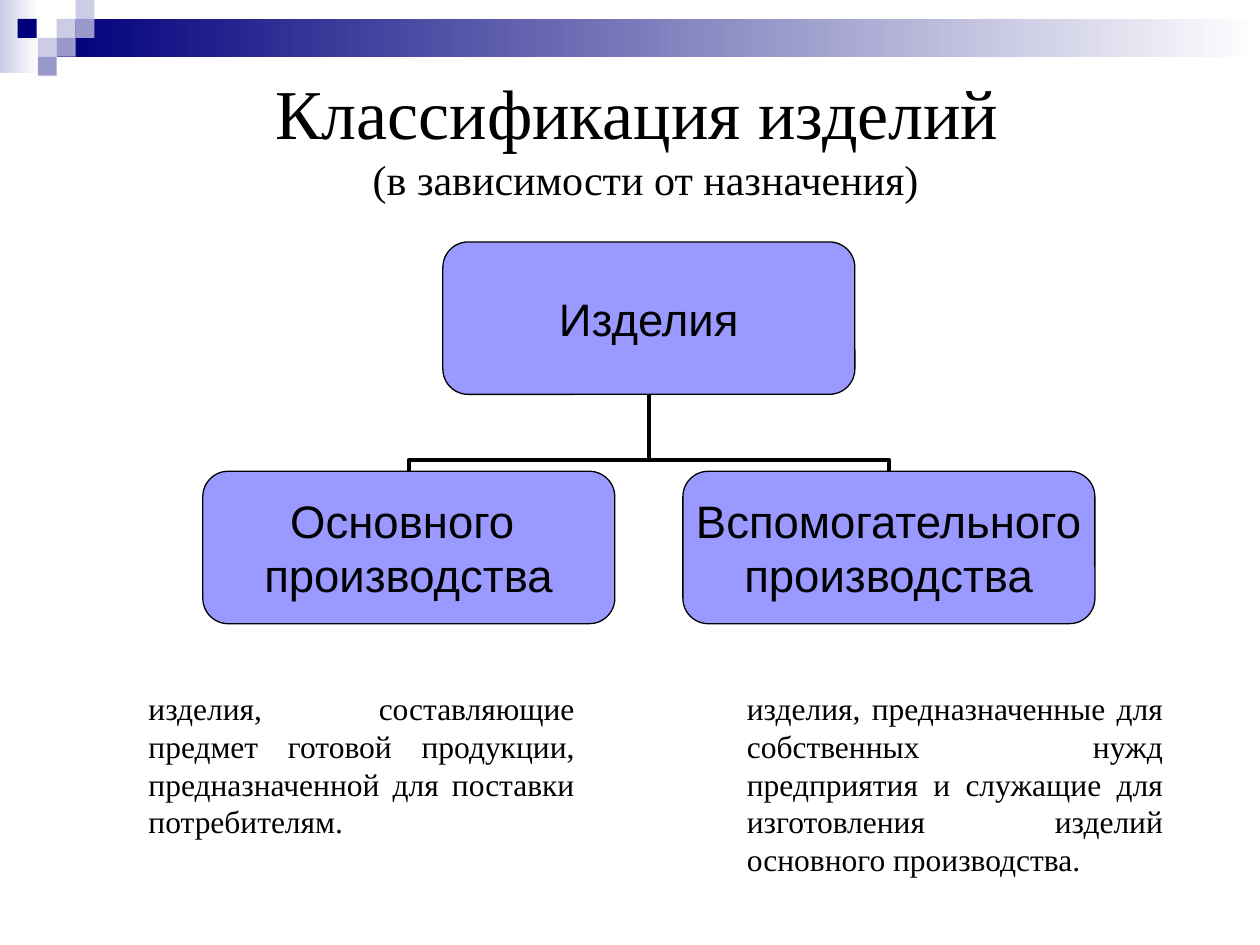
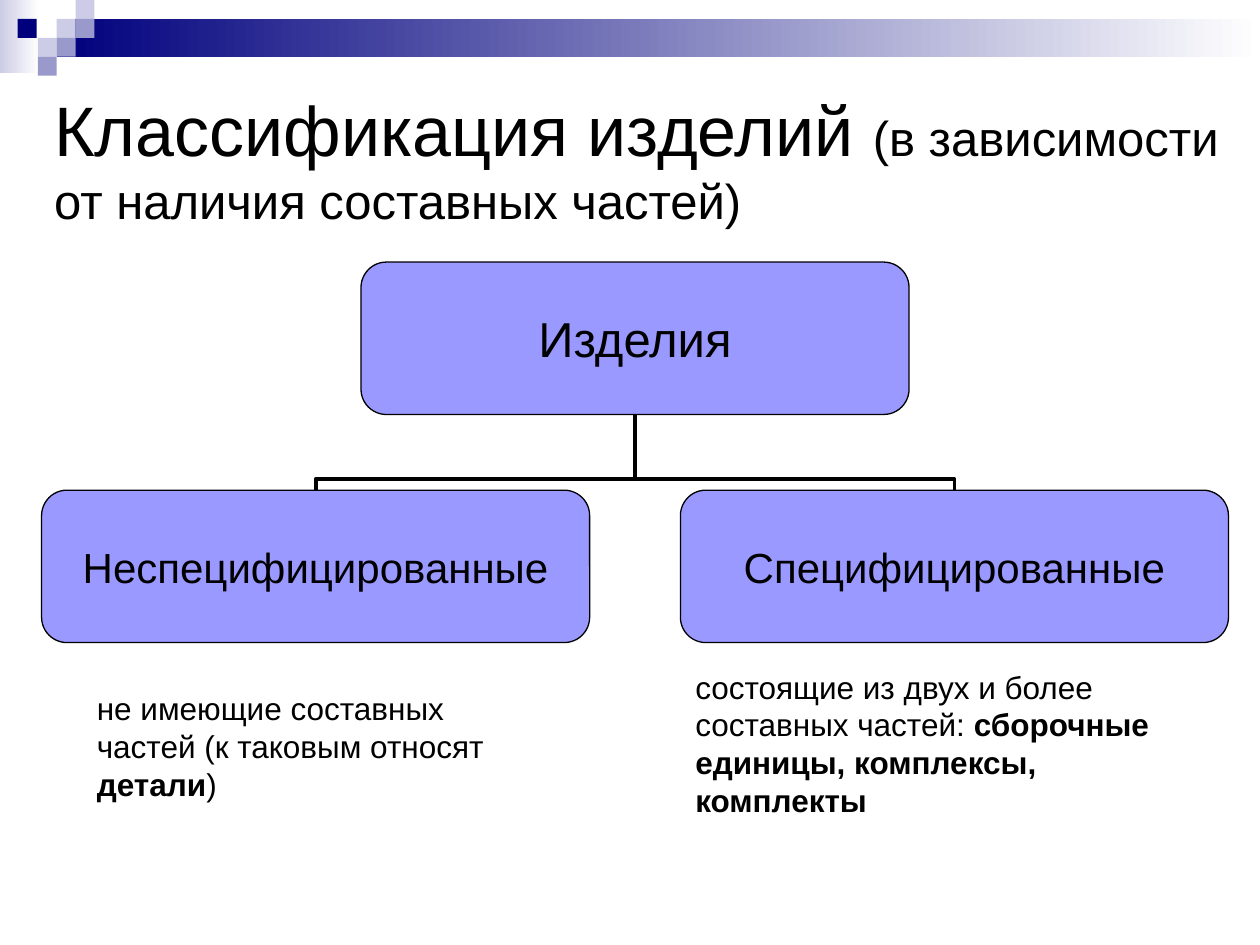
from pptx import Presentation
from pptx.dml.color import RGBColor
from pptx.enum.shapes import MSO_CONNECTOR, MSO_SHAPE
from pptx.enum.text import MSO_ANCHOR, MSO_AUTO_SIZE, PP_ALIGN
from pptx.oxml.ns import qn
from pptx.util import Inches, Pt
from lxml.etree import SubElement

COLORS = {
    "navy": "00007D", "lilac": "CCCCE6", "violet": "9999CC",
    "box": "9999FF", "ink": "000000", "white": "FFFFFF",
}
SERIF = "Times New Roman"
SANS = "Arial"
SQUARE = 0.15
BOX_HEIGHT = 1.21
# Decorative squares: left, top, colour
SQUARES = [
    (0.45, 0.15, "lilac"), (0.6, 0, "lilac"), (0.6, 0.15, "violet"),
    (0.3, 0.3, "lilac"), (0.14, 0.15, "navy"), (0.45, 0.3, "violet"),
    (0.3, 0.45, "violet"),
]


def color(name):
    return RGBColor.from_string(COLORS[name])


def add_span(para, text, size=18, font=SANS, bold=False):
    span = para.add_run()
    span.text = text
    span.font.size = Pt(size)
    span.font.name = font
    span.font.bold = bold
    span.font.color.rgb = color("ink")


def add_block(page, kind, left, top, width, height, fill):
    """Plain shape; two colour names in fill make a horizontal gradient."""
    block = page.shapes.add_shape(
        kind, Inches(left), Inches(top), Inches(width), Inches(height))
    block.shadow.inherit = False
    block.line.fill.background()
    if isinstance(fill, tuple):
        block.fill.gradient()
        block.fill.gradient_angle = 0
        for stop, name, position in zip(block.fill.gradient_stops, fill, (0, 1)):
            stop.color.rgb = color(name)
            stop.position = position
    else:
        block.fill.solid()
        block.fill.fore_color.rgb = color(fill)
    return block


def add_header(page):
    rectangle = MSO_SHAPE.RECTANGLE
    add_block(page, rectangle, 0, 0, 0.31, 0.58, ("lilac", "white"))
    add_block(page, rectangle, 0.45, 0.15, 9.55, 0.3, ("navy", "white"))
    for left, top, name in SQUARES:
        add_block(page, rectangle, left, top, SQUARE, SQUARE, name)


def add_title(page, left, top, width, lead, detail, detail_size,
              font=SANS, align=PP_ALIGN.LEFT, split=False):
    title = page.shapes.title
    title.left, title.top = Inches(left), Inches(top)
    title.width, title.height = Inches(width), Inches(1.17)
    frame = title.text_frame
    frame.auto_size = MSO_AUTO_SIZE.NONE
    frame.vertical_anchor = MSO_ANCHOR.MIDDLE
    para = frame.paragraphs[0]
    para.alignment = align
    add_span(para, lead, size=40, font=font)
    if split:
        para.add_line_break()
    add_span(para, detail, size=detail_size, font=font)


def add_box(page, left, top, width, lines, size):
    box = add_block(page, MSO_SHAPE.ROUNDED_RECTANGLE,
                    left, top, width, BOX_HEIGHT, "box")
    box.line.color.rgb = color("ink")
    box.line.width = Pt(0.75)
    frame = box.text_frame
    frame.word_wrap = False
    frame.vertical_anchor = MSO_ANCHOR.MIDDLE
    frame.margin_left = frame.margin_right = 0
    frame.margin_top = frame.margin_bottom = 0
    for index, line in enumerate(lines):
        para = frame.add_paragraph() if index else frame.paragraphs[0]
        para.alignment = PP_ALIGN.CENTER
        add_span(para, line, size=size)


def add_branch(page, child_x, child_y, parent_x, parent_y):
    """Elbow from the top of a child box up to the bottom of its parent."""
    drop, reach = child_y - parent_y, abs(child_x - parent_x)
    left = (child_x + parent_x - drop) / 2
    top = (child_y + parent_y - reach) / 2
    start, end, turn = left, left + drop, 270
    if child_x < parent_x:
        start, end, turn = end, start, 90
    branch = page.shapes.add_connector(
        MSO_CONNECTOR.ELBOW, Inches(start), Inches(top + reach),
        Inches(end), Inches(top))
    branch.line.color.rgb = color("ink")
    branch.line.width = Pt(2.25)
    # Quarter turn, bend position and no shadow
    properties = branch.element.spPr
    properties.find(qn("a:xfrm")).set("rot", str(turn * 60000))
    guides = properties.find(qn("a:prstGeom")).find(qn("a:avLst"))
    SubElement(guides, qn("a:gd"), name="adj1", fmla="val 14700")
    SubElement(properties, qn("a:effectLst"))


def add_tree(page, top, width, lefts, child_top, root, children, root_size, child_size):
    root_left = sum(lefts) / 2
    middle = root_left + width / 2
    for left in reversed(lefts):
        add_branch(page, left + width / 2, child_top, middle, top + BOX_HEIGHT)
    add_box(page, root_left, top, width, [root], root_size)
    for left, lines in zip(lefts, children):
        add_box(page, left, child_top, width, lines, child_size)


def add_note(page, left, top, width, height, spans, font=SANS, align=PP_ALIGN.LEFT):
    note = page.shapes.add_textbox(
        Inches(left), Inches(top), Inches(width), Inches(height))
    frame = note.text_frame
    frame.word_wrap = True
    frame.auto_size = MSO_AUTO_SIZE.SHAPE_TO_FIT_TEXT
    para = frame.paragraphs[0]
    para.alignment = align
    para.space_before = Pt(11.2)
    for text, bold in spans:
        add_span(para, text, font=font, bold=bold)


def add_page(deck):
    page = deck.slides.add_slide(deck.slide_layouts[5])
    add_header(page)
    return page


def build_purpose_page(deck):
    page = add_page(deck)
    add_title(page, 0.5, 0.5, 9.25, "Классификация изделий ",
              "(в зависимости от назначения)", 24,
              font=SERIF, align=PP_ALIGN.CENTER, split=True)
    add_tree(page, 1.92, 3.27, (1.61, 5.42), 3.74, "Изделия",
             (["Основного ", "производства"],
              ["Вспомогательного", "производства"]), 26, 26)
    add_note(page, 5.83, 5.42, 3.5, 1.6,
             [("изделия, предназначенные для собственных нужд предприятия и "
               "служащие для изготовления изделий основного производства. ", False)],
             font=SERIF, align=PP_ALIGN.JUSTIFY)
    add_note(page, 1.08, 5.42, 3.58, 1.3,
             [("изделия, составляющие предмет готовой продукции, "
               "предназначенной для поставки потребителям. ", False)],
             font=SERIF, align=PP_ALIGN.JUSTIFY)


def build_parts_page(deck):
    page = add_page(deck)
    add_title(page, 0.33, 0.67, 9.5, "Классификация изделий ",
              "(в зависимости от наличия составных частей)", 28)
    add_tree(page, 2.08, 4.35, (0.33, 5.4), 3.89, "Изделия",
             (["Неспецифицированные"], ["Специфицированные"]), 28, 24)
    add_note(page, 0.67, 5.42, 3.75, 1,
             [("не имеющие составных частей (к таковым относят ", False),
              ("детали", True), (")", False)])
    add_note(page, 5.42, 5.25, 3.83, 1.3,
             [("состоящие из двух и более составных частей: ", False),
              ("сборочные единицы, комплексы, комплекты", True)])


def main():
    deck = Presentation()
    deck.slide_width, deck.slide_height = Inches(10), Inches(7.5)
    build_purpose_page(deck)
    build_parts_page(deck)
    deck.save("out.pptx")


if __name__ == "__main__":
    main()
